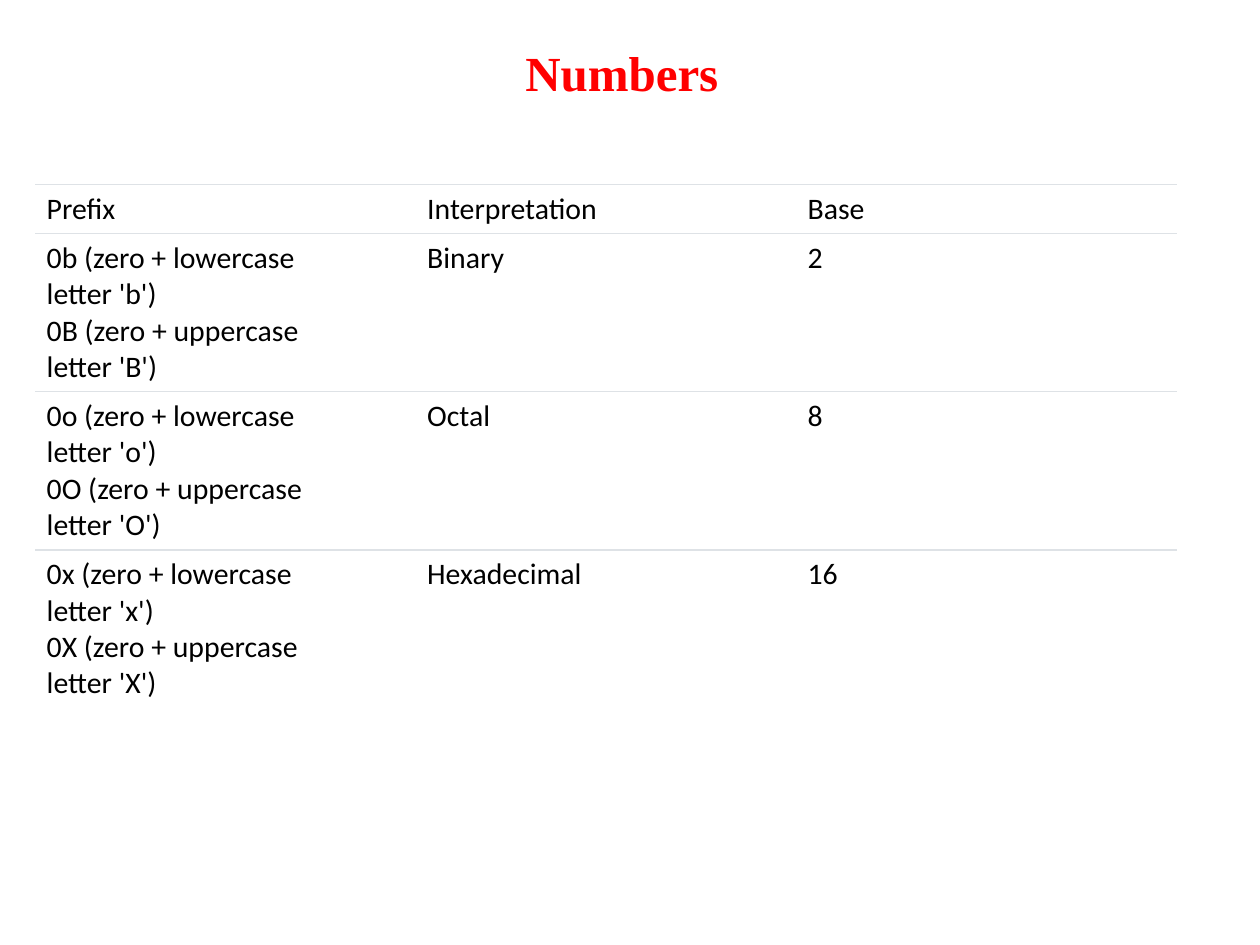
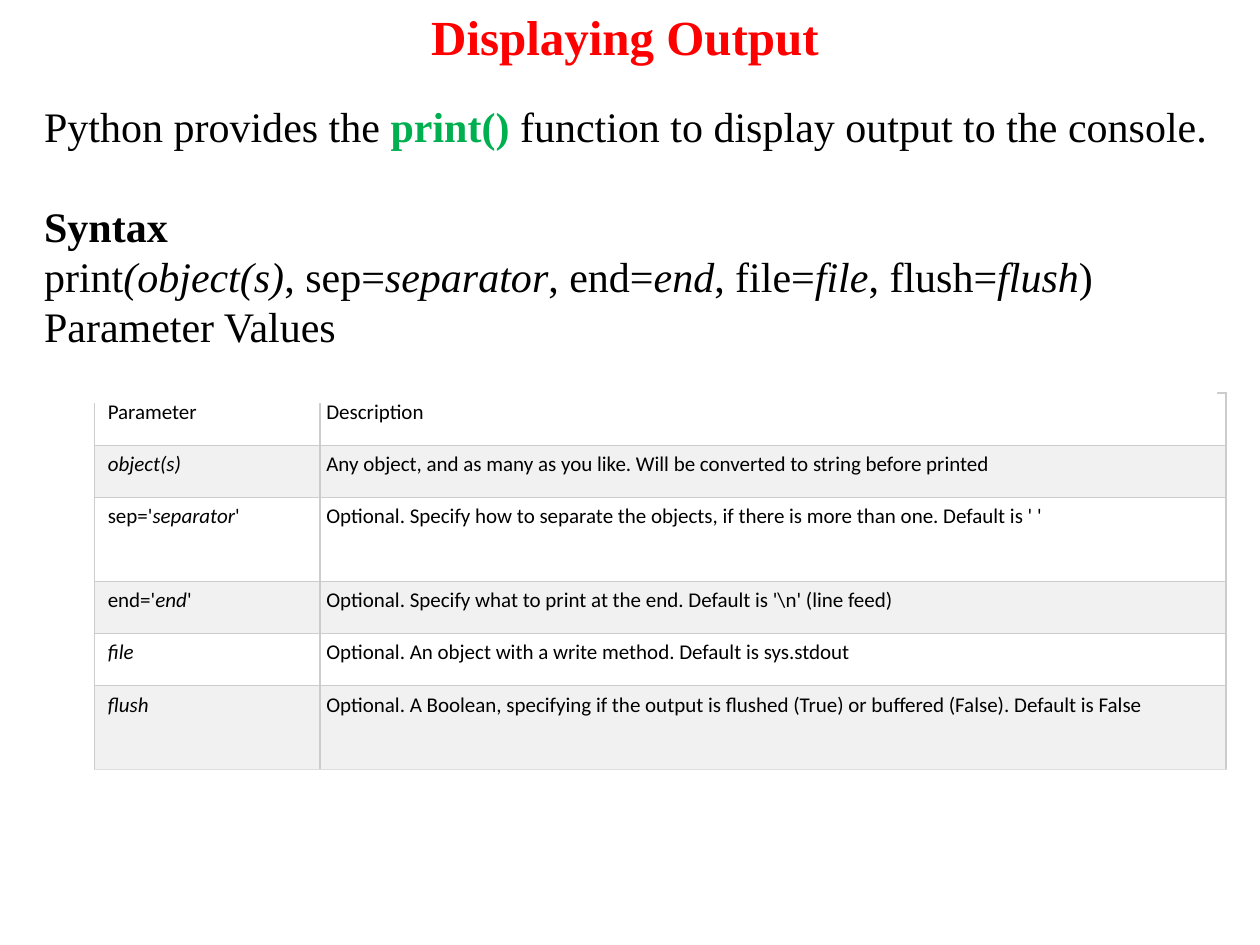
from lxml import etree
from pptx import Presentation
from pptx.dml.color import RGBColor
from pptx.enum.shapes import MSO_SHAPE
from pptx.enum.text import MSO_ANCHOR, MSO_AUTO_SIZE, PP_ALIGN
from pptx.oxml.ns import qn
from pptx.util import Pt

RED = RGBColor(0xFF, 0x00, 0x00)
GREEN = RGBColor(0x00, 0xB0, 0x50)
BLACK = RGBColor(0x00, 0x00, 0x00)
WHITE = RGBColor(0xFF, 0xFF, 0xFF)
BAND_GRAY = RGBColor(0xF1, 0xF1, 0xF1)
RULE_GRAY = RGBColor(0xDE, 0xE2, 0xE6)
GRID_GRAY = RGBColor(0xCC, 0xCC, 0xCC)
GRID_END_GRAY = RGBColor(0xDD, 0xDD, 0xDD)

RECTANGLE = MSO_SHAPE.RECTANGLE
TOP, BOTTOM = MSO_ANCHOR.TOP, MSO_ANCHOR.BOTTOM
LEFT, CENTER = PP_ALIGN.LEFT, PP_ALIGN.CENTER
NO_AUTOFIT = MSO_AUTO_SIZE.NONE

TITLE_ONLY = 5
SIDES = ("lnL", "lnR", "lnT", "lnB")
RULE_WIDTH = Pt(0.75)
SYNTAX_LINE = Pt(28.6)

TITLE_FONT = {"name": "Times New Roman", "size": Pt(28), "bold": True, "color": RED}
INTRO_FONT = {"name": "Times New Roman", "size": Pt(24), "bold": False, "color": BLACK}
PREFIX_FONT = {"name": "Calibri", "size": Pt(17), "bold": False, "color": BLACK}
PARAMETER_FONT = {**PREFIX_FONT, "size": Pt(12)}

PREFIX_ROWS = [["Prefix", "Interpretation", "Base"]] + [
    [f"0{low}\u00a0(zero + lowercase letter\u00a0'{low}')\n"
     f"0{low.upper()}\u00a0(zero + uppercase letter\u00a0'{low.upper()}')", meaning, base]
    for low, meaning, base in (("b", "Binary", "2"), ("o", "Octal", "8"), ("x", "Hexadecimal", "16"))
]

PARAMETER_ROWS = [
    ["Parameter", "Description"],
    ["*object(s)*", "Any object, and as many as you like. Will be converted to string before printed"],
    ["sep='*separator*'",
     "Optional. Specify how to separate the objects, if there is more than one. Default is ' '"],
    ["end='*end*'", "Optional. Specify what to print at the end. Default is '\\n' (line feed)"],
    ["*file*", "Optional. An object with a write method. Default is sys.stdout"],
    ["*flush*",
     "Optional. A Boolean, specifying if the output is flushed (True) or buffered (False). Default is False"],
]


def apply_format(target, formats):
    for attribute, value in formats.items():
        if attribute == "color":
            target.color.rgb = value
        else:
            setattr(target, attribute, value)


def italic_runs(marked):
    return [(part, {"italic": True} if index % 2 else {})
            for index, part in enumerate(marked.split("*")) if part]


def write_runs(paragraph, runs, font):
    for text, changes in runs:
        for index, line in enumerate(text.split("\n")):
            if index:
                paragraph.add_line_break()
            run = paragraph.add_run()
            run.text = line
            apply_format(run.font, {**font, **changes})


def place(shape, left, top, width, height):
    apply_format(shape, {"left": Pt(left), "top": Pt(top), "width": Pt(width), "height": Pt(height)})


def add_titled_slide(deck, text, bounds, wrap):
    slide = deck.slides.add_slide(deck.slide_layouts[TITLE_ONLY])
    title = slide.shapes.title
    place(title, *bounds)
    apply_format(title.text_frame, {"word_wrap": wrap, "auto_size": NO_AUTOFIT, "vertical_anchor": TOP})
    heading = title.text_frame.paragraphs[0]
    heading.alignment = CENTER
    write_runs(heading, [(text, {})], TITLE_FONT)
    return slide


def set_borders(cell, colors):
    properties = cell._tc.get_or_add_tcPr()
    for side in SIDES:
        line = etree.SubElement(properties, qn(f"a:{side}"), w=str(RULE_WIDTH))
        if side in colors:
            fill = etree.SubElement(line, qn("a:solidFill"))
            etree.SubElement(fill, qn("a:srgbClr"), val=str(colors[side]))
        else:
            etree.SubElement(line, qn("a:noFill"))


def add_table(slide, rows, left, top, widths, heights, font, style_cell):
    frame = slide.shapes.add_table(len(rows), len(widths), Pt(left), Pt(top),
                                   Pt(sum(widths)), Pt(sum(heights)))
    table = frame.table
    apply_format(table, {"first_row": False, "horz_banding": False})
    for column, width in zip(table.columns, widths):
        column.width = Pt(width)
    for row, height in zip(table.rows, heights):
        row.height = Pt(height)
    for r, texts in enumerate(rows):
        for c, text in enumerate(texts):
            cell = table.cell(r, c)
            write_runs(cell.text_frame.paragraphs[0], italic_runs(text), font)
            borders, fill, layout = style_cell(r, c)
            set_borders(cell, borders)
            cell.fill.solid()
            cell.fill.fore_color.rgb = fill
            apply_format(cell, layout)


def prefix_style(row, column):
    borders = {"lnT": RULE_GRAY}
    if row < len(PREFIX_ROWS) - 1:
        borders["lnB"] = RULE_GRAY
    layout = {"vertical_anchor": TOP if row else BOTTOM, "margin_left": Pt(6.5), "margin_right": Pt(6.5),
              "margin_top": Pt(3.6), "margin_bottom": Pt(3.6)}
    return borders, WHITE, layout


def parameter_style(row, column):
    borders = dict.fromkeys(SIDES, GRID_GRAY)
    if row == len(PARAMETER_ROWS) - 1:
        borders["lnB"] = GRID_END_GRAY
    layout = {"vertical_anchor": TOP, "margin_left": Pt(3.6 if column else 7.6), "margin_right": Pt(3.6),
              "margin_top": Pt(3.6), "margin_bottom": Pt(3.6)}
    return borders, BAND_GRAY if row % 2 else WHITE, layout


def add_syntax_panel(slide):
    panel = slide.shapes.add_shape(RECTANGLE, Pt(25.2), Pt(49), Pt(670.3), Pt(181.4))
    panel.shadow.inherit = False
    panel.fill.solid()
    panel.fill.fore_color.rgb = WHITE
    panel.line.fill.background()
    frame = panel.text_frame
    apply_format(frame, {"word_wrap": False, "auto_size": NO_AUTOFIT, "vertical_anchor": TOP,
                         "margin_left": 0, "margin_right": 0, "margin_top": Pt(8.4), "margin_bottom": Pt(7.2)})
    lines = [
        [("Python\u00a0provides the\u00a0", {}), ("print()\u00a0", {"bold": True, "color": GREEN}),
         ("function to display output to the console.", {})],
        [("Syntax", {"bold": True})],
        italic_runs("print*(object(s)*, sep=*separator*, end=*end*, file=*file*, flush=*flush*)"),
        [("Parameter Values", {})],
    ]
    for index, runs in enumerate(lines):
        paragraph = frame.add_paragraph() if index else frame.paragraphs[0]
        apply_format(paragraph, {"alignment": LEFT, "line_spacing": SYNTAX_LINE,
                                 "space_before": SYNTAX_LINE if index == 1 else Pt(0)})
        write_runs(paragraph, runs, INTRO_FONT)


def main():
    deck = Presentation()
    apply_format(deck, {"slide_width": Pt(720), "slide_height": Pt(540)})

    numbers = add_titled_slide(deck, "Numbers", (292.3, 20.9, 126, 41), False)
    add_table(numbers, PREFIX_ROWS, 20.2, 105.6, [217.4] * 3, [27] + [87] * 3, PREFIX_FONT, prefix_style)

    output = add_titled_slide(deck, "Displaying Output", (76.3, 0, 561.6, 41), True)
    add_table(output, PARAMETER_ROWS, 54, 224.6, [128.9, 517.7], [29.9, 29.9, 47.8] * 2,
              PARAMETER_FONT, parameter_style)
    add_syntax_panel(output)

    deck.save("out.pptx")


main()
